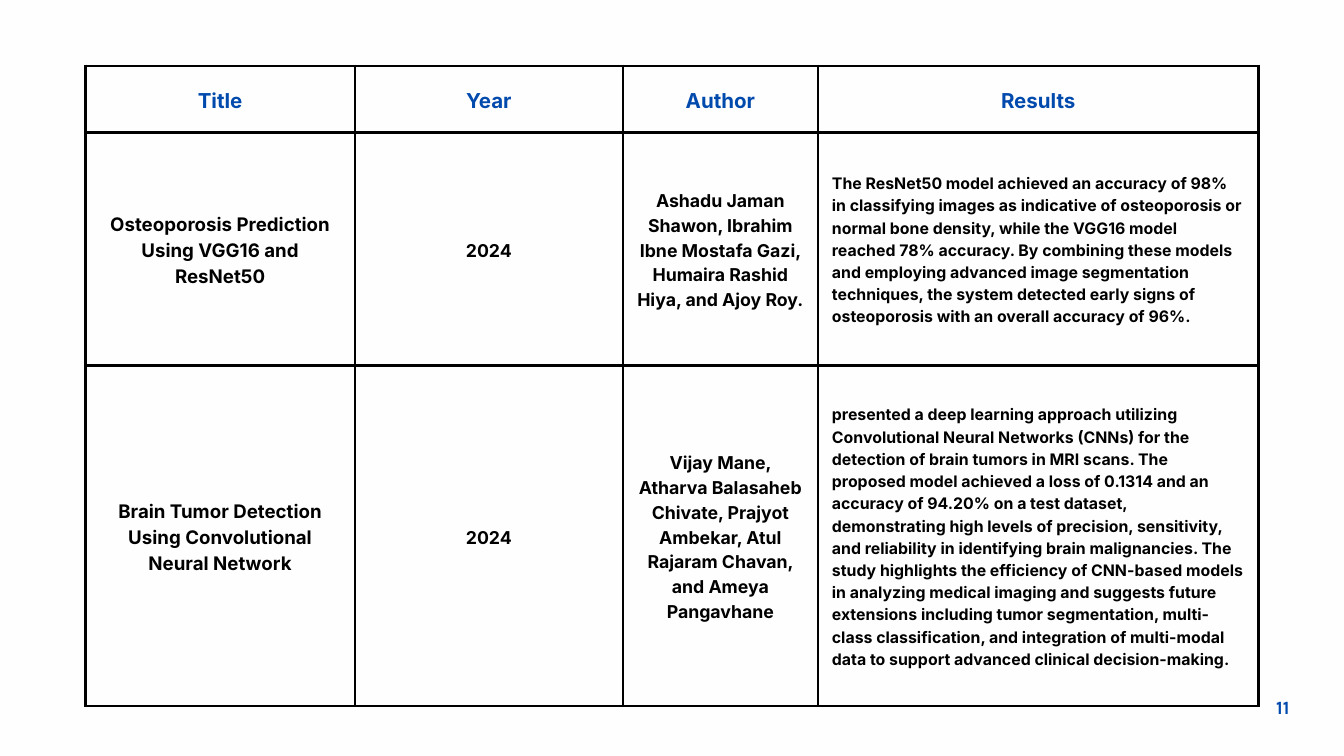
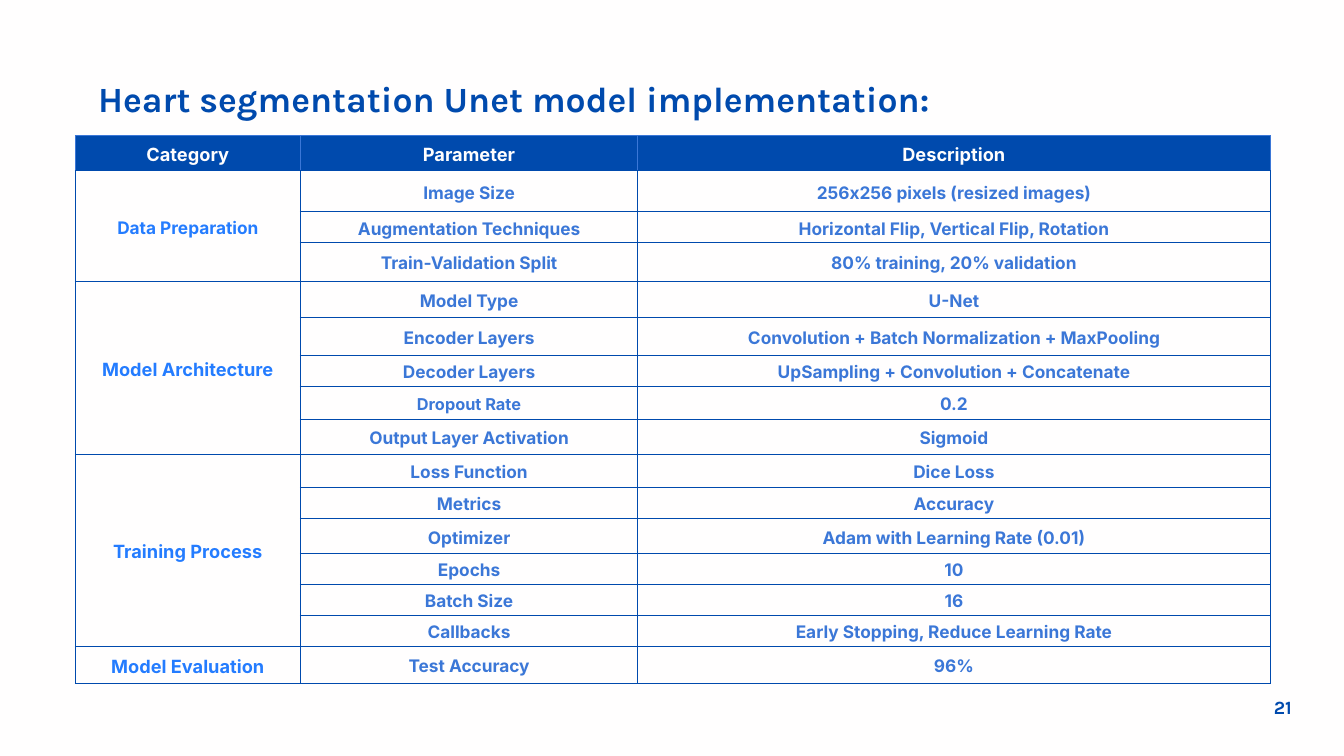
from lxml.etree import SubElement
from pptx import Presentation
from pptx.dml.color import RGBColor
from pptx.enum.text import MSO_ANCHOR as Anchor, MSO_AUTO_SIZE as AutoSize, PP_ALIGN as Align
from pptx.oxml.ns import qn
from pptx.util import Inches, Pt

# Shared look
PAPER = RGBColor(0xFF, 0xFE, 0xFE)
BLACK = RGBColor(0x00, 0x00, 0x00)
NAVY = RGBColor(0x00, 0x4A, 0xAD)
STEEL = RGBColor(0x3B, 0x77, 0xD7)
SKY = RGBColor(0x24, 0x7C, 0xFF)
HEAD_FONT, BODY_FONT = "Karla", "Inter"
LEADING = 1.4
WIDTH, HEIGHT = 20, 11.25

# Literature review
STUDY_HEADER = ("Title", "Year", "Author", "Results")
STUDIES = [
    ("Osteoporosis Prediction Using VGG16 and ResNet50", "2024",
     "Ashadu Jaman Shawon, Ibrahim Ibne Mostafa Gazi, Humaira Rashid Hiya, and Ajoy Roy.",
     "The ResNet50 model achieved an accuracy of 98% in classifying images as indicative of "
     "osteoporosis or normal bone density, while the VGG16 model reached 78% accuracy. By "
     "combining these models and employing advanced image segmentation techniques, the system "
     "detected early signs of osteoporosis with an overall accuracy of 96%."),
    ("Brain Tumor Detection Using Convolutional Neural Network", "2024",
     "Vijay Mane, Atharva Balasaheb Chivate, Prajyot Ambekar, Atul Rajaram Chavan, "
     "and Ameya Pangavhane",
     "presented a deep learning approach utilizing Convolutional Neural Networks (CNNs) for the "
     "detection of brain tumors in MRI scans. The proposed model achieved a loss of 0.1314 and "
     "an accuracy of 94.20% on a test dataset, demonstrating high levels of precision, "
     "sensitivity, and reliability in identifying brain malignancies. The study highlights the "
     "efficiency of CNN-based models in analyzing medical imaging and suggests future extensions "
     "including tumor segmentation, multi-class classification, and integration of multi-modal "
     "data to support advanced clinical decision-making."),
]
STUDY_COLUMNS = (4.01, 3.99, 2.9, 6.56)
STUDY_ROWS = (0.99, 3.47, 5.07)
STUDY_SIZES = (20, 19, 19, 17)

# Model settings: category, its text size, then parameter, description, row height
MODEL_TITLE = "Heart segmentation Unet model implementation:"
MODEL_HEADER = ("Category", "Parameter", "Description")
MODEL_GROUPS = [
    ("Data Preparation", 18.5, [
        ("Image Size", "256x256 pixels (resized images)", 0.61),
        ("Augmentation Techniques", "Horizontal Flip, Vertical Flip, Rotation", 0.46),
        ("Train-Validation Split", "80% training, 20% validation", 0.58)]),
    ("Model Architecture", 19.5, [
        ("Model Type", "U-Net", 0.54),
        ("Encoder Layers", "Convolution + Batch Normalization + MaxPooling", 0.56),
        ("Decoder Layers", "UpSampling + Convolution + Concatenate", 0.46),
        ("Dropout Rate", "0.2", 0.49),
        ("Output Layer Activation", "Sigmoid", 0.52)]),
    ("Training Process", 19.5, [
        ("Loss Function", "Dice Loss", 0.49),
        ("Metrics", "Accuracy", 0.47),
        ("Optimizer", "Adam with Learning Rate (0.01)", 0.52),
        ("Epochs", "10", 0.46),
        ("Batch Size", "16", 0.46),
        ("Callbacks", "Early Stopping, Reduce Learning Rate", 0.46)]),
    ("Model Evaluation", 19.5, [
        ("Test Accuracy", "96%", 0.55)]),
]
MODEL_COLUMNS = (3.35, 5.02, 9.41)
MODEL_HEADER_HEIGHT = 0.52
PARAMETER_SIZES = {"Dropout Rate": 17.5}


def write(frame, text, size, color, font=BODY_FONT, align=Align.CENTER):
    """Put one bold paragraph into a text frame."""
    para = frame.paragraphs[0]
    para.text = text
    para.alignment = align
    para.line_spacing = Pt(round(size * LEADING, 1))
    para.font.size, para.font.bold, para.font.name = Pt(size), True, font
    para.font.color.rgb = color


def clear_insets(frame):
    frame.margin_left = frame.margin_top = frame.margin_right = frame.margin_bottom = 0
    frame.vertical_anchor = Anchor.TOP
    frame.auto_size = AutoSize.NONE


def set_borders(cell, width, color, bottom=None):
    properties = cell._tc.get_or_add_tcPr()
    for side in "LRTB":
        line = SubElement(properties, qn(f"a:ln{side}"), w=str(Pt(width)))
        shade = bottom if bottom and side == "B" else color
        SubElement(SubElement(line, qn("a:solidFill")), qn("a:srgbClr"), val=str(shade))


def add_grid(page, left, top, columns, rows, inset):
    """Add an unstyled table with the given column widths and row heights."""
    table = page.shapes.add_table(len(rows), len(columns), Inches(left), Inches(top),
                                  Inches(sum(columns)), Inches(sum(rows))).table
    table.first_row = table.horz_banding = False
    for column, width in zip(table.columns, columns):
        column.width = Inches(width)
    for row, height in zip(table.rows, rows):
        row.height = Inches(height)
    for cell in table.iter_cells():
        cell.vertical_anchor = Anchor.MIDDLE
        cell.margin_left = cell.margin_right = Inches(inset)
        cell.margin_top = cell.margin_bottom = Inches(inset)
    return table


def add_page_number(page, number):
    box = page.shapes.add_textbox(Inches(WIDTH - 1.06), Inches(HEIGHT - 0.95),
                                  Inches(0.3), Inches(0.38))
    clear_insets(box.text_frame)
    box.text_frame.word_wrap = False
    write(box.text_frame, str(number), 20, NAVY, HEAD_FONT)


def build_studies(deck):
    page = deck.slides.add_slide(deck.slide_layouts[6])
    table = add_grid(page, 1.27, 0.98, STUDY_COLUMNS, STUDY_ROWS, 0.21)
    for cell in table.iter_cells():
        set_borders(cell, 3, BLACK)
        cell.fill.background()
    for column, heading in enumerate(STUDY_HEADER):
        write(table.cell(0, column).text_frame, heading, 22, NAVY)
    for row, study in enumerate(STUDIES, 1):
        for column, (text, size) in enumerate(zip(study, STUDY_SIZES)):
            align = Align.LEFT if STUDY_HEADER[column] == "Results" else Align.CENTER
            write(table.cell(row, column).text_frame, text, size, BLACK, align=align)
    add_page_number(page, 11)


def build_model(deck):
    page = deck.slides.add_slide(deck.slide_layouts[5])
    title = page.shapes.title
    title.left, title.top = Inches(1.12), Inches(1.04)
    title.width, title.height = Inches(13.06), Inches(0.71)
    clear_insets(title.text_frame)
    write(title.text_frame, MODEL_TITLE, 38, NAVY, HEAD_FONT)

    heights = [height for _, _, settings in MODEL_GROUPS for _, _, height in settings]
    table = add_grid(page, 1.12, 2.02, MODEL_COLUMNS, [MODEL_HEADER_HEIGHT, *heights], 0)
    for index, cell in enumerate(table.iter_cells()):
        is_header = index < len(MODEL_HEADER)
        set_borders(cell, 1.1, STEEL if is_header else NAVY, bottom=NAVY)
        cell.fill.solid()
        cell.fill.fore_color.rgb = NAVY if is_header else PAPER
    for column, heading in enumerate(MODEL_HEADER):
        write(table.cell(0, column).text_frame, heading, 19.5, PAPER)

    # Each category spans the rows of its settings
    row = 1
    for category, size, settings in MODEL_GROUPS:
        head = table.cell(row, 0)
        if len(settings) > 1:
            head.merge(table.cell(row + len(settings) - 1, 0))
        write(head.text_frame, category, size, SKY)
        for parameter, description, _ in settings:
            write(table.cell(row, 1).text_frame, parameter,
                  PARAMETER_SIZES.get(parameter, 18.5), STEEL)
            write(table.cell(row, 2).text_frame, description, 18.5, STEEL)
            row += 1
    add_page_number(page, 21)


def main():
    deck = Presentation()
    deck.slide_width, deck.slide_height = Inches(WIDTH), Inches(HEIGHT)
    background = deck.slide_master.background.fill
    background.solid()
    background.fore_color.rgb = PAPER
    build_studies(deck)
    build_model(deck)
    deck.save("out.pptx")


if __name__ == "__main__":
    main()
